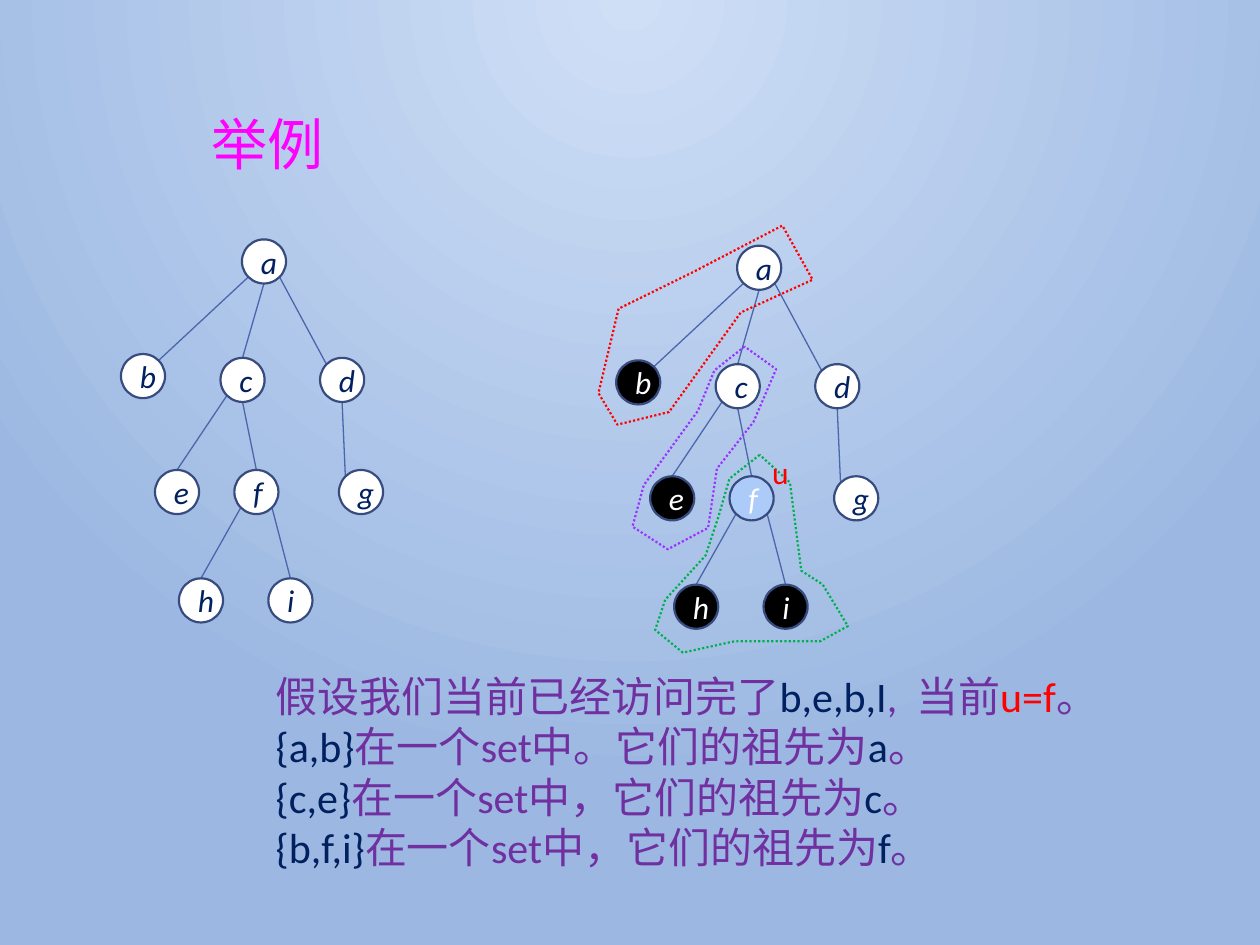
import math
from dataclasses import dataclass

import pptx
import pptx.dml.color
import pptx.enum.dml
import pptx.enum.shapes
import pptx.enum.text
import pptx.oxml
import pptx.oxml.ns
import pptx.util
from lxml import etree
from pptx.util import Inches

qn = pptx.oxml.ns.qn


@dataclass(frozen=True)
class Theme:
    latin: str = "Calibri"
    asian: str = "Noto Sans CJK SC"
    title_size: int = 32
    body_size: int = 24
    node_size: int = 18
    glow: str = "CFDFF6"
    sky: str = "9CB8E2"
    magenta: str = "FF00FF"
    navy: str = "002060"
    purple: str = "7030A0"
    red: str = "FF0000"
    violet: str = "9933FF"
    green: str = "00B050"
    white: str = "FFFFFF"
    black: str = "000000"
    current: str = "ACCBF9"
    outline: str = "374B7F"
    edge: str = "4A66AC"
    outline_width: float = 1.25
    edge_width: float = 0.75


THEME = Theme()
NODE = 0.35
TREE_SHIFT = (3.93, 0.05)

# Top left corner of every node in the left tree
NODES = {
    "a": (1.92, 1.9), "b": (0.96, 2.81), "c": (1.75, 2.84),
    "d": (2.54, 2.84), "e": (1.23, 3.73), "f": (1.86, 3.73),
    "g": (2.69, 3.73), "h": (1.42, 4.59), "i": (2.13, 4.59),
}

# Child, its angle, parent, its angle: degrees clockwise from the right
EDGES = [
    ("b", 315, "a", 135), ("c", 270, "a", 90), ("d", 225, "a", 45),
    ("e", 270, "c", 135), ("f", 270, "c", 90), ("g", 225, "d", 90),
    ("h", 270, "f", 135), ("i", 270, "f", 45),
]

# Dotted outlines around the sets
SETS = [
    (THEME.red, [(4.91, 2.45), (4.75, 3.12), (4.9, 3.37), (5.31, 3.27),
                 (5.88, 2.48), (6.45, 2.22), (6.21, 1.79), (5.5, 2.16)]),
    (THEME.violet, [(5.91, 2.75), (5.67, 2.94), (5.54, 3.26), (5.11, 3.85),
                    (5.02, 4.18), (5.3, 4.36), (5.62, 4.19), (5.69, 3.72),
                    (5.98, 3.35), (6.16, 2.93)]),
    (THEME.green, [(6.03, 3.61), (5.79, 3.8), (5.7, 4.11), (5.6, 4.41),
                   (5.28, 4.76), (5.2, 5), (5.42, 5.18), (5.83, 5.09),
                   (6.51, 5.09), (6.73, 4.97), (6.53, 4.64), (6.36, 4.53),
                   (6.27, 3.83)]),
]


def rgb(value):
    return pptx.dml.color.RGBColor.from_string(value)


def add_text(para, text, *, size, color, latin=THEME.latin, italic=None):
    span = para.add_run()
    span.text = text
    span.font.size = pptx.util.Pt(size)
    span.font.name = latin
    span.font.italic = italic
    span.font.color.rgb = rgb(color)
    asian = etree.SubElement(span.font._element, qn("a:ea"))
    asian.set("typeface", THEME.asian)


def style_line(line, color, width):
    line.color.rgb = rgb(color)
    line.width = pptx.util.Pt(width)


def paint_background(page):
    fill = page.background.fill
    fill.gradient()
    for stop, color in zip(fill.gradient_stops, (THEME.glow, THEME.sky)):
        stop.color.rgb = rgb(color)
    # Circular gradient that starts at the top centre
    gradient = page._element.find(".//" + qn("a:gradFill"))
    circle = etree.Element(qn("a:path"), path="circle")
    etree.SubElement(circle, qn("a:fillToRect"),
                     l="43000", t="0", r="43000", b="100000")
    gradient.replace(gradient.find(qn("a:lin")), circle)


def set_title(page, text):
    title = page.shapes.title
    title.left, title.top = Inches(1.58), Inches(0.88)
    title.width, title.height = Inches(7.19), Inches(1.15)
    frame = title.text_frame
    frame.auto_size = pptx.enum.text.MSO_AUTO_SIZE.NONE
    frame.vertical_anchor = pptx.enum.text.MSO_ANCHOR.TOP
    para = frame.paragraphs[0]
    para.alignment = pptx.enum.text.PP_ALIGN.LEFT
    para.line_spacing = 0.9
    add_text(para, text, size=THEME.title_size, color=THEME.magenta,
             latin=THEME.asian)


def add_node(page, label, left, top, fill, color):
    node = page.shapes.add_shape(pptx.enum.shapes.MSO_SHAPE.OVAL, Inches(left),
                                 Inches(top), Inches(NODE), Inches(NODE))
    node.shadow.inherit = False
    node.fill.solid()
    node.fill.fore_color.rgb = rgb(fill)
    style_line(node.line, THEME.outline, THEME.outline_width)
    para = node.text_frame.paragraphs[0]
    para.alignment = pptx.enum.text.PP_ALIGN.CENTER
    add_text(para, label, size=THEME.node_size, color=color, italic=True)


def rim_point(corner, angle):
    radius, turn = NODE / 2, math.radians(angle)
    return (Inches(corner[0] + radius + radius * math.cos(turn)),
            Inches(corner[1] + radius + radius * math.sin(turn)))


def add_edge(page, start, end):
    edge = page.shapes.add_connector(
        pptx.enum.shapes.MSO_CONNECTOR.STRAIGHT, *start, *end)
    style_line(edge.line, THEME.edge, THEME.edge_width)
    etree.SubElement(edge._element.spPr, qn("a:effectLst"))


def add_tree(page, shift=(0, 0), visited="", current=""):
    corners = {label: (left + shift[0], top + shift[1])
               for label, (left, top) in NODES.items()}
    for child, child_angle, parent, parent_angle in EDGES:
        add_edge(page, rim_point(corners[child], child_angle),
                 rim_point(corners[parent], parent_angle))
    for label, (left, top) in corners.items():
        fill, color = THEME.white, THEME.navy
        if label in visited:
            fill, color = THEME.black, THEME.white
        elif label == current:
            fill, color = THEME.current, THEME.white
        add_node(page, label, left, top, fill, color)


def add_set_outline(page, color, points):
    corners = [(Inches(x), Inches(y)) for x, y in points]
    builder = page.shapes.build_freeform(*corners[0])
    builder.add_line_segments(corners[1:], close=True)
    outline = builder.convert_to_shape()
    outline.shadow.inherit = False
    outline.fill.background()
    style_line(outline.line, color, THEME.outline_width)
    outline.line.dash_style = pptx.enum.dml.MSO_LINE.ROUND_DOT


def add_text_box(page, left, top, width, height, lines, size, wrap=True):
    box = page.shapes.add_textbox(Inches(left), Inches(top),
                                  Inches(width), Inches(height))
    frame = box.text_frame
    frame.word_wrap = wrap
    frame.auto_size = pptx.enum.text.MSO_AUTO_SIZE.SHAPE_TO_FIT_TEXT
    for index, spans in enumerate(lines):
        para = frame.add_paragraph() if index else frame.paragraphs[0]
        for text, color in spans:
            add_text(para, text, size=size, color=color)


def set_sentence(members, ancestor, mark="，"):
    return [(members, THEME.navy), (f"在一个set中{mark}它们的祖先为", THEME.purple),
            (ancestor, THEME.navy), ("。", THEME.purple)]


def main():
    deck = pptx.Presentation()
    deck.slide_width, deck.slide_height = Inches(10), Inches(7.5)
    page = deck.slides.add_slide(deck.slide_layouts[5])
    paint_background(page)
    set_title(page, "举例")

    # Plain tree, then the same tree during the traversal
    add_tree(page)
    add_tree(page, TREE_SHIFT, visited="behi", current="f")

    # Explanation below the trees
    state = [("假设我们当前已经访问完了", THEME.purple), ("b,e,b,I", THEME.navy),
             (",  当前", THEME.purple), ("u=f", THEME.red), ("。", THEME.purple)]
    lines = [state, set_sentence("{a,b}", "a", "。"),
             set_sentence("{c,e}", "c"), set_sentence("{b,f,i}", "f")]
    add_text_box(page, 2.09, 5.27, 6.87, 1.72, lines, THEME.body_size)

    # Sets and the marker of the current node
    for color, points in SETS:
        add_set_outline(page, color, points)
    add_text_box(page, 6.03, 3.55, 0.33, 0.4, [[("u", THEME.red)]],
                 THEME.node_size, wrap=False)
    deck.save("out.pptx")


if __name__ == "__main__":
    main()
